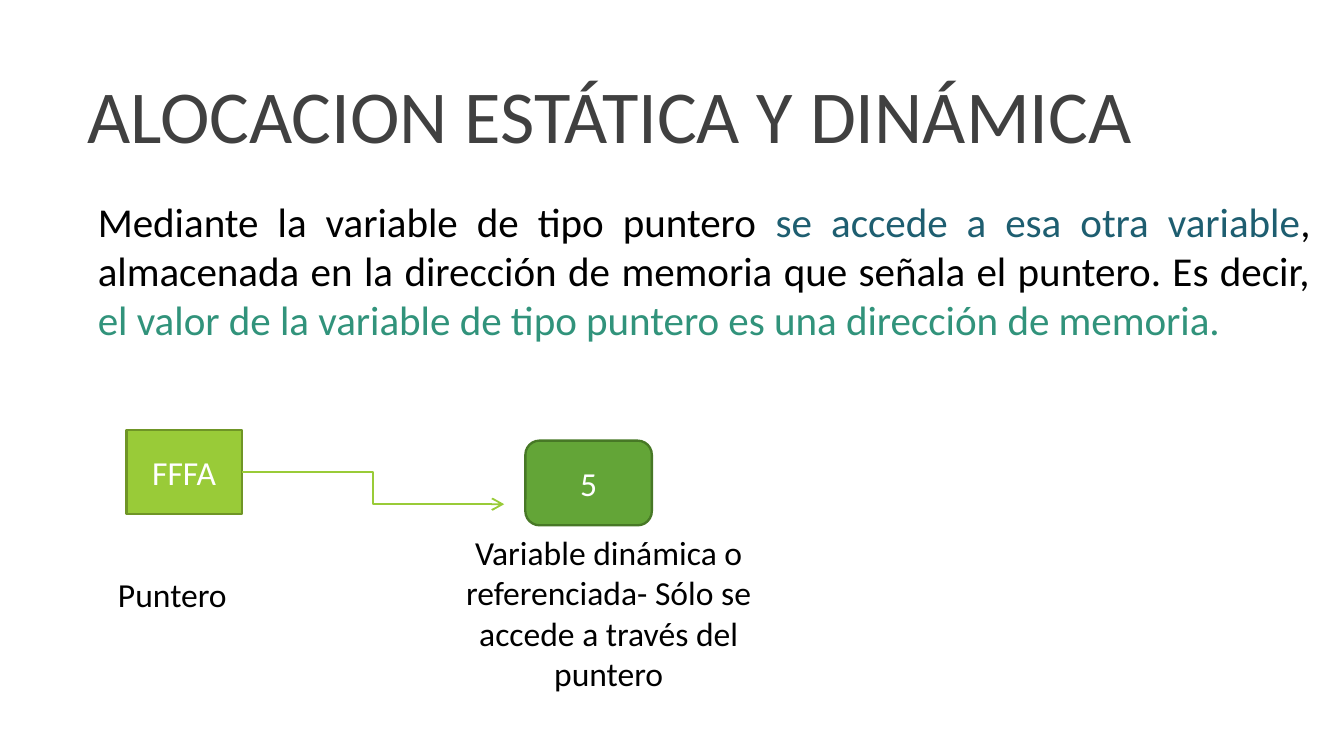
from pptx import Presentation
from pptx.dml.color import RGBColor
from pptx.enum.shapes import MSO_CONNECTOR as CONN, MSO_SHAPE as SHAPE
from pptx.enum.text import MSO_ANCHOR as ANCHOR, PP_ALIGN as ALIGN
from pptx.oxml.ns import qn
from pptx.util import Cm, Pt
from lxml.etree import SubElement

BLACK = RGBColor(0x00, 0x00, 0x00)
WHITE = RGBColor(0xFF, 0xFF, 0xFF)
GRAY = RGBColor(0x40, 0x40, 0x40)
BLUE = RGBColor(0x1E, 0x5E, 0x70)
TEAL = RGBColor(0x31, 0x93, 0x7B)
LIME = RGBColor(0x99, 0xCB, 0x38)
DARK_LIME = RGBColor(0x6F, 0x95, 0x26)
GREEN = RGBColor(0x63, 0xA5, 0x37)
DARK_GREEN = RGBColor(0x47, 0x78, 0x26)


def write(sp, *runs, size=18, color=BLACK, align=ALIGN.LEFT,
          anchor=ANCHOR.TOP, spacing=None):
    tf = sp.text_frame
    tf.word_wrap = True
    tf.vertical_anchor = anchor
    p = tf.paragraphs[0]
    p.alignment = align
    p.line_spacing = spacing
    for run in runs:
        text, run_color = (run, color) if isinstance(run, str) else run
        r = p.add_run()
        r.text = text
        r.font.name = "Calibri"
        r.font.size = Pt(size)
        r.font.color.rgb = run_color


def add_text(s, box, *runs, **fmt):
    sp = s.shapes.add_textbox(*map(Cm, box))
    write(sp, *runs, **fmt)


def add_cell(s, kind, box, text, fill, line):
    sp = s.shapes.add_shape(kind, *map(Cm, box))
    sp.shadow.inherit = False
    sp.fill.solid()
    sp.fill.fore_color.rgb = fill
    sp.line.color.rgb = line
    sp.line.width = Pt(1.25)
    write(sp, text, color=WHITE, align=ALIGN.CENTER, anchor=ANCHOR.MIDDLE)
    return sp


def add_arrow(s, source, start, end, color):
    cxn = s.shapes.add_connector(CONN.ELBOW, *map(Cm, start + end))
    cxn.begin_connect(source, 3)
    cxn.line.color.rgb = color
    cxn.line.width = Pt(1)
    SubElement(cxn.line._get_or_add_ln(), qn("a:tailEnd"), type="arrow")
    SubElement(cxn._element.spPr, qn("a:effectLst"))


def main():
    prs = Presentation()
    prs.slide_width, prs.slide_height = Cm(25.4), Cm(14.29)
    s = prs.slides.add_slide(prs.slide_layouts[6])

    add_text(s, (1.4, 0.33, 23.7, 2.79), "ALOCACION ESTÁTICA Y DINÁMICA",
             size=40, color=GRAY, anchor=ANCHOR.BOTTOM, spacing=0.85)
    add_text(s, (1.6, 3.58, 23.42, 3.99),
             "Mediante la variable de tipo puntero ",
             ("se accede a esa otra variable", BLUE),
             ", almacenada en la dirección de memoria que señala el puntero. Es decir, ",
             ("el valor de la variable de tipo puntero es una dirección de memoria.", TEAL),
             size=22, align=ALIGN.JUSTIFY)

    pointer = add_cell(s, SHAPE.RECTANGLE, (2.39, 8.13, 2.18, 1.59),
                       "FFFA", LIME, DARK_LIME)
    add_cell(s, SHAPE.ROUNDED_RECTANGLE, (9.93, 8.33, 2.39, 1.6),
             "5", GREEN, DARK_GREEN)
    add_arrow(s, pointer, (4.57, 8.92), (9.53, 9.53), LIME)

    add_text(s, (1.98, 10.72, 3.18, 1.02), "Puntero")
    add_text(s, (8.33, 9.93, 6.35, 3.3),
             "Variable dinámica o referenciada- Sólo se accede a través del puntero",
             align=ALIGN.CENTER)
    prs.save("out.pptx")


if __name__ == "__main__":
    main()
